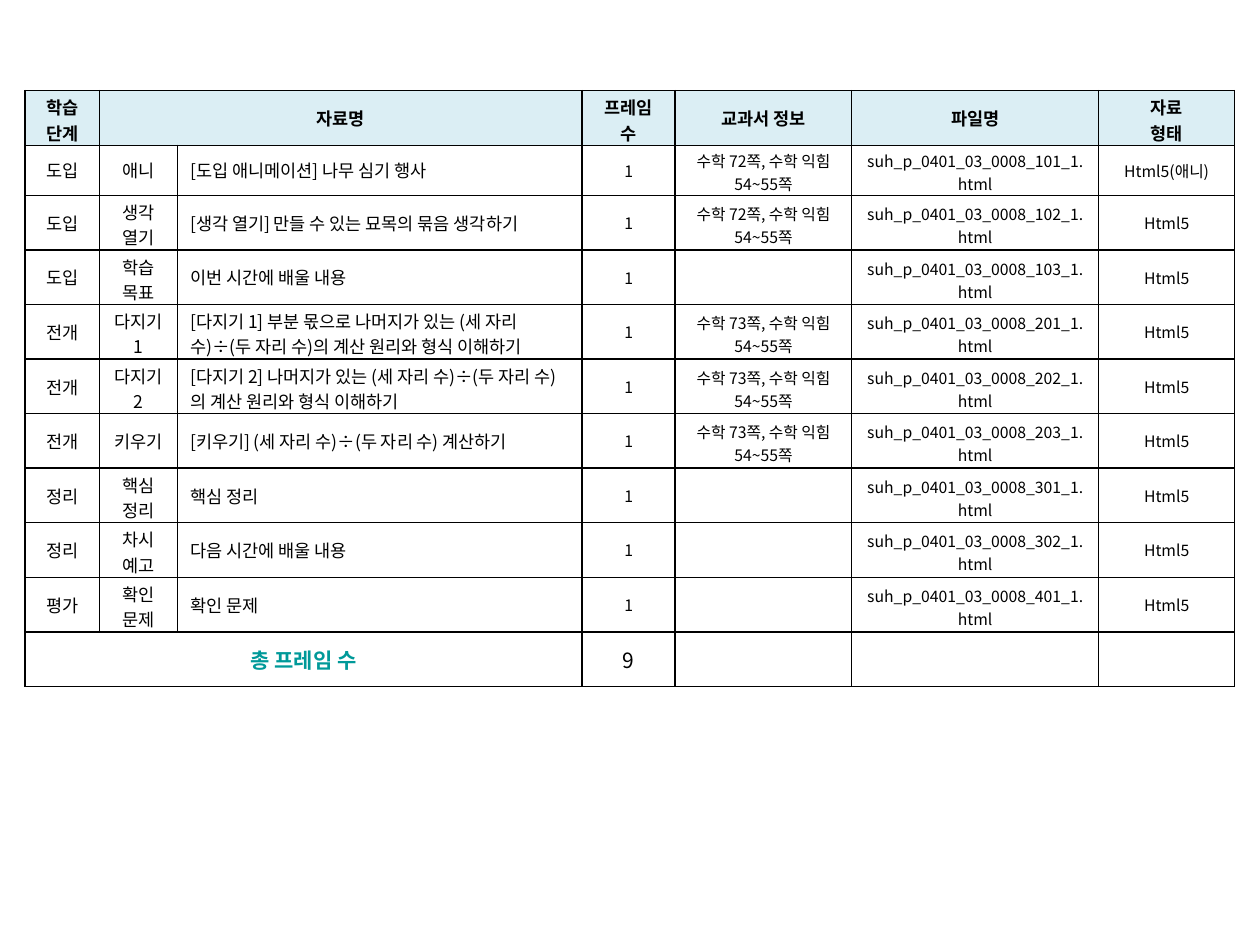
from lxml import etree
from pptx import Presentation
from pptx.dml.color import RGBColor
from pptx.enum import text as te
from pptx.oxml.ns import qn
from pptx.util import Inches, Pt

FONT = "Noto Sans CJK KR"
BLACK = RGBColor(0x00, 0x00, 0x00)
TEAL = RGBColor(0x00, 0x99, 0x99)
PALE = RGBColor(0xDB, 0xEE, 0xF4)

# top and bottom cell margins, in inches
ROOMY, SNUG, TIGHT = (0.05, 0.05), (0.05, 0.01), (0.03, 0)

COLS = [0.59, 0.62, 3.21, 0.74, 1.4, 1.96, 1.08]
HEAD = ["학습 단계", "자료명", "", "프레임 수", "교과서 정보", "파일명", "자료\n형태"]
# stage, part, title, textbook page, file number
ITEMS = [
    ("도입", "애니", "[도입 애니메이션] 나무 심기 행사", 72, 101),
    ("도입", "생각 열기", "[생각 열기] 만들 수 있는 묘목의 묶음 생각하기", 72, 102),
    ("도입", "학습 목표", "이번 시간에 배울 내용", None, 103),
    ("전개", "다지기1", "[다지기 1] 부분 몫으로 나머지가 있는 (세 자리 수)÷(두 자리 수)의 "
     "계산 원리와 형식 이해하기", 73, 201),
    ("전개", "다지기 2", "[다지기 2] 나머지가 있는 (세 자리 수)÷(두 자리 수)의 "
     "계산 원리와 형식 이해하기", 73, 202),
    ("전개", "키우기", "[키우기] (세 자리 수)÷(두 자리 수) 계산하기", 73, 203),
    ("정리", "핵심 정리", "핵심 정리", None, 301),
    ("정리", "차시 예고", "다음 시간에 배울 내용", None, 302),
    ("평가", "확인 문제", "확인 문제", None, 401),
]


def write(cell, words, size=10, color=BLACK, bold=False,
          align=te.PP_ALIGN.CENTER, pad=ROOMY):
    cell.vertical_anchor = te.MSO_ANCHOR.MIDDLE
    cell.margin_top, cell.margin_bottom = map(Inches, pad)
    cell.text = words
    for para in cell.text_frame.paragraphs:
        para.alignment = align
        if not para.runs:
            end = para._p.get_or_add_endParaRPr()
            end.set("sz", str(size * 100))
        for run in para.runs:
            font = run.font
            font.name, font.size, font.bold = FONT, Pt(size), bold
            font.color.rgb = color
            font._element.set("kern", "0")
            east = etree.SubElement(font._element, qn("a:ea"))
            east.set("typeface", FONT)


def frame(cell, fill=None):
    """Rule all four sides of a cell and set its fill."""
    props = cell._tc.get_or_add_tcPr()
    for side in ("lnL", "lnR", "lnT", "lnB"):
        line = etree.SubElement(props, qn(f"a:{side}"), w=str(Pt(1)))
        solid = etree.SubElement(line, qn("a:solidFill"))
        etree.SubElement(solid, qn("a:srgbClr"), val=str(BLACK))
    if fill is None:
        cell.fill.background()
    else:
        cell.fill.solid()
        cell.fill.fore_color.rgb = fill


def fields(stage, part, title, page, number):
    """Spell out the seven cells of one lesson item."""
    book = f"수학 {page}쪽, 수학 익힘 54~55쪽" if page else ""
    kind = "Html5(애니)" if part == "애니" else "Html5"
    return [stage, part, title, "1", book, f"suh_p_0401_03_0008_{number}_1.html", kind]


def margins(row, col, words):
    """Choose cell margins so that two lines fit the fixed row height."""
    if col in (4, 5):
        return TIGHT if row == 1 else SNUG
    wraps = (col == 1 and len(words) > 3) or (col == 2 and len(words) > 35)
    return TIGHT if wraps else ROOMY


def plan(slide, left, top, width, height):
    """Place the lesson table in the given box."""
    count = len(ITEMS) + 2
    table = slide.shapes.add_table(count, len(COLS), left, top, width, height).table
    table.first_row = table.horz_banding = False
    for col, size in zip(table.columns, COLS):
        col.width = Inches(size)
    short = Inches(0.4)
    for row in table.rows:
        row.height = (height - short) // (count - 1)
    table.rows[1].height = short

    for r in range(count):
        for c in range(len(COLS)):
            frame(table.cell(r, c), PALE if r == 0 else None)
    for c, words in enumerate(HEAD):
        write(table.cell(0, c), words, bold=True,
              pad=TIGHT if c in (0, 3, 6) else ROOMY)
    for r, item in enumerate(ITEMS, 1):
        for c, words in enumerate(fields(*item)):
            align = te.PP_ALIGN.LEFT if c == 2 else te.PP_ALIGN.CENTER
            write(table.cell(r, c), words, size=10 if c < 3 else 9,
                  align=align, pad=margins(r, c, words))

    last = count - 1
    total = ["총 프레임 수", "", "", str(len(ITEMS)), "", "", ""]
    for c, words in enumerate(total):
        write(table.cell(last, c), words, size=12,
              color=BLACK if c else TEAL, bold=c == 0)
    table.cell(0, 1).merge(table.cell(0, 2))
    table.cell(last, 0).merge(table.cell(last, 2))


def main():
    deck = Presentation()
    deck.slide_width, deck.slide_height = Inches(10), Inches(7.5)
    slide = deck.slides.add_slide(deck.slide_layouts[6])
    plan(slide, Inches(0.2), Inches(0.72), Inches(9.6), Inches(4.73))
    deck.save("out.pptx")


if __name__ == "__main__":
    main()
